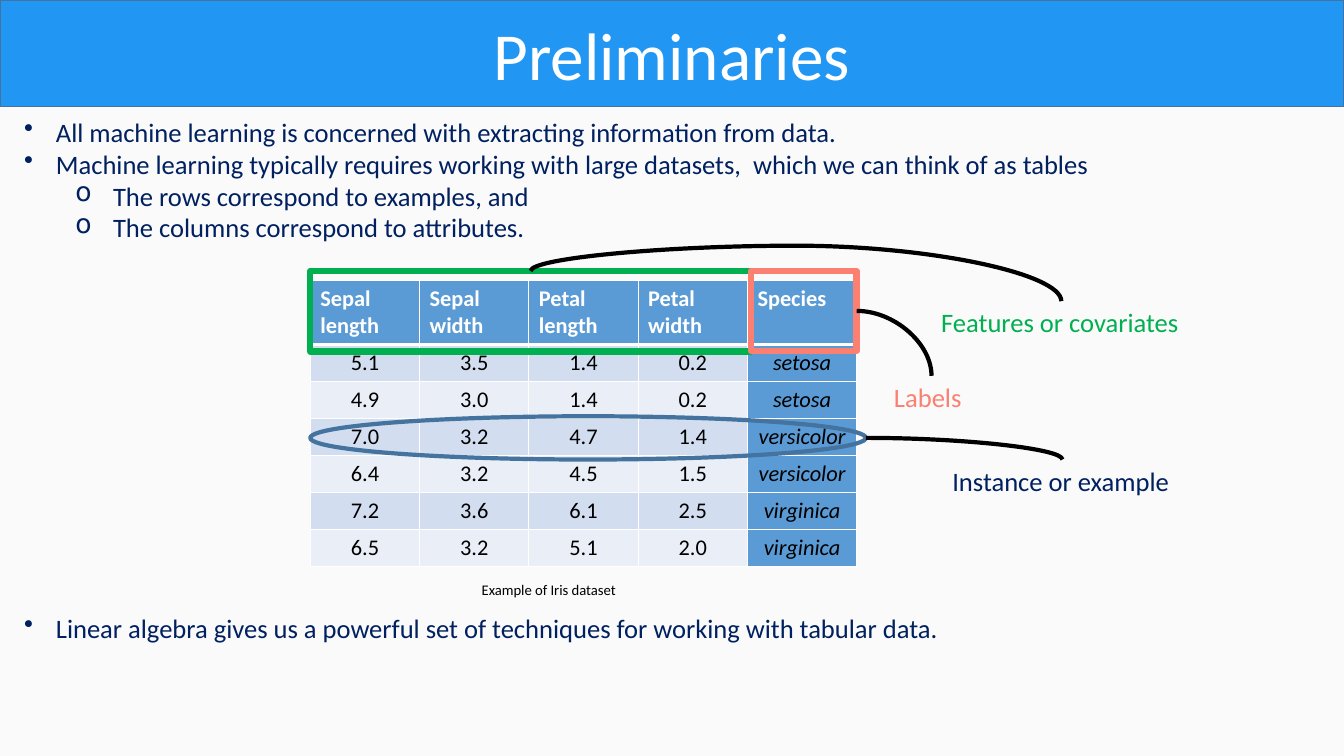
from collections import namedtuple

from lxml.etree import SubElement
from pptx import Presentation
from pptx.dml.color import RGBColor
from pptx.enum.shapes import MSO_CONNECTOR, MSO_SHAPE
from pptx.enum.text import MSO_ANCHOR, PP_ALIGN
from pptx.oxml.ns import qn
from pptx.util import Cm, Pt

Box = namedtuple("Box", "left top width height")

FONT = "Calibri"
NAVY, GREEN, CORAL = "002060", "00B050", "FB8072"
WHITE, BLACK, STEEL, BLUE = "FFFFFF", "000000", "43739E", "5B9BD5"
BANDS = ("D2DEEF", "EAEFF7")
BODY_SIZE = 19
HEADER_HEIGHT = 1.62

POINTS = [
    ("All machine learning is concerned with extracting information from data.", 0),
    ("Machine learning typically requires working with large datasets,  "
     "which we can think of as tables", 0),
    ("The rows correspond to examples, and", 1),
    ("The columns correspond to attributes.", 1),
]
CLOSING_POINT = [("Linear algebra gives us a powerful set of techniques "
                  "for working with tabular data.", 0)]
BULLETS = [("•", 0.8, 0.8), ("o", 2.24, 0.95)]  # character, left margin, hanging

IRIS = [
    ("Sepal length", "Sepal width", "Petal length", "Petal width", "Species"),
    ("5.1", "3.5", "1.4", "0.2", "setosa"),
    ("4.9", "3.0", "1.4", "0.2", "setosa"),
    ("7.0", "3.2", "4.7", "1.4", "versicolor"),
    ("6.4", "3.2", "4.5", "1.5", "versicolor"),
    ("7.2", "3.6", "6.1", "2.5", "virginica"),
    ("6.5", "3.2", "5.1", "2.0", "virginica"),
]


def color(hex_string):
    return RGBColor.from_string(hex_string)


def lengths(box):
    return [Cm(value) for value in box]


def top_middle(box):
    return box.left + box.width / 2, box.top


def right_middle(box):
    return box.left + box.width, box.top + box.height / 2


def write(paragraph, text, size=BODY_SIZE, fill=NAVY, bold=False, italic=False,
          align=PP_ALIGN.LEFT):
    paragraph.alignment = align
    run = paragraph.add_run()
    run.text = text
    font = run.font
    font.name, font.size, font.bold, font.italic = FONT, Pt(size), bold, italic
    font.color.rgb = color(fill)


def add_text_frame(slide, box):
    frame = slide.shapes.add_textbox(*lengths(box)).text_frame
    frame.word_wrap = False
    return frame


def add_label(slide, box, text, **format):
    write(add_text_frame(slide, box).paragraphs[0], text, **format)


def add_outline(slide, box, preset, line, weight, fill=None):
    shape = slide.shapes.add_shape(preset, *lengths(box))
    shape.shadow.inherit = False
    if fill:
        shape.fill.solid()
        shape.fill.fore_color.rgb = color(fill)
    else:
        shape.fill.background()
    shape.line.color.rgb = color(line)
    shape.line.width = Pt(weight)
    return shape


def add_title_band(slide, box):
    band = add_outline(slide, box, MSO_SHAPE.RECTANGLE, STEEL, 1, fill="2196F3")
    band.text_frame.vertical_anchor = MSO_ANCHOR.MIDDLE
    write(band.text_frame.paragraphs[0], "Preliminaries", size=48, fill=WHITE,
          align=PP_ALIGN.CENTER)


def add_points(slide, box, points):
    frame = add_text_frame(slide, box)
    for index, (text, level) in enumerate(points):
        paragraph = frame.add_paragraph() if index else frame.paragraphs[0]
        write(paragraph, text)
        paragraph.level = level
        character, margin, hanging = BULLETS[level]
        properties = paragraph.runs[0].font and paragraph._p.get_or_add_pPr()
        properties.set("marL", str(Cm(margin)))
        properties.set("indent", str(-Cm(hanging)))
        SubElement(properties, qn("a:buChar"), char=character)


def add_cell_borders(cell, bottom):
    properties = cell._tc.get_or_add_tcPr()
    for side, weight in (("L", 1), ("R", 1), ("T", 1), ("B", bottom)):
        border = SubElement(properties, qn("a:ln" + side), w=str(Pt(weight)))
        fill = SubElement(border, qn("a:solidFill"))
        SubElement(fill, qn("a:srgbClr"), val=WHITE)


def add_iris_table(slide, box):
    table = slide.shapes.add_table(len(IRIS), len(IRIS[0]), *lengths(box)).table
    for column in table.columns:
        column.width = Cm(box.width / len(IRIS[0]))
    for index, row in enumerate(table.rows):
        row.height = Cm((box.height - HEADER_HEIGHT) / (len(IRIS) - 1)
                        if index else HEADER_HEIGHT)
    for r, record in enumerate(IRIS):
        header = r == 0
        for c, value in enumerate(record):
            species = c == len(record) - 1
            cell = table.cell(r, c)
            add_cell_borders(cell, bottom=3 if header else 1)
            cell.fill.solid()
            cell.fill.fore_color.rgb = color(
                BLUE if header or species else BANDS[(r - 1) % 2])
            write(cell.text_frame.paragraphs[0], value, size=16, bold=header,
                  fill=WHITE if header else BLACK, italic=species and not header,
                  align=PP_ALIGN.LEFT if header else PP_ALIGN.CENTER)


def add_curve(slide, start, end, arch=None):
    """Curve leaving start upwards; arch is its bulge as a share of the rise."""
    (x1, y1), (x2, y2) = start, end
    # A quarter turn swaps width and height about the centre.
    width, height = abs(y2 - y1), abs(x2 - x1)
    left, top = (x1 + x2 - width) / 2, (y1 + y2 - height) / 2
    right, bottom = left + width, top + height
    if arch is None:
        ends = left, bottom, right, top
    else:
        ends = right, top, left, bottom
    curve = slide.shapes.add_connector(MSO_CONNECTOR.CURVE, *lengths(ends))
    curve.line.color.rgb = color(BLACK)
    curve.line.width = Pt(3)
    properties = curve._element.spPr
    properties.find(qn("a:xfrm")).set("rot", str(270 * 60000))
    geometry = properties.find(qn("a:prstGeom"))
    if arch is None:
        geometry.set("prst", "curvedConnector2")
    else:
        SubElement(geometry.find(qn("a:avLst")), qn("a:gd"), name="adj1",
                   fmla=f"val {round(arch * 100000)}")
    SubElement(properties, qn("a:effectLst"))


def add_iris_figure(slide, box):
    """Table with its caption, marked regions and their labels."""
    def inside(left, top, width, height):
        return Box(box.left + left, box.top + top, width, height)

    features = inside(0, -0.23, 11.1, 2.03)
    species = inside(11.1, -0.23, 2.67, 2.01)
    instance = inside(0, 3.43, 14, 1.09)
    features_label = inside(15.65, 0.53, 6.55, 1.07)
    species_label = inside(14.46, 2.41, 2.39, 1.07)
    instance_label = inside(15.93, 4.52, 6.05, 1.07)

    add_iris_table(slide, box)
    add_label(slide, inside(4.07, 7.44, 3.96, 0.71), "Example of Iris dataset",
              size=10.5, fill=BLACK)
    add_outline(slide, features, MSO_SHAPE.RECTANGLE, GREEN, 4.5)
    add_outline(slide, species, MSO_SHAPE.RECTANGLE, CORAL, 4.5)
    add_outline(slide, instance, MSO_SHAPE.OVAL, STEEL, 3)
    add_label(slide, features_label, "Features or covariates", fill=GREEN)
    add_label(slide, species_label, "Labels", fill=CORAL)
    add_label(slide, instance_label, "Instance or example")
    add_curve(slide, top_middle(features), top_middle(features_label), arch=-0.84)
    add_curve(slide, top_middle(species_label), right_middle(species))
    add_curve(slide, top_middle(instance_label), right_middle(instance))


def main():
    presentation = Presentation()
    presentation.slide_width, presentation.slide_height = Cm(33.87), Cm(19.05)
    slide = presentation.slides.add_slide(presentation.slide_layouts[6])
    slide.background.fill.solid()
    slide.background.fill.fore_color.rgb = color("FAFAFA")
    add_title_band(slide, Box(0, 0, 33.87, 2.69))
    add_points(slide, Box(0.36, 2.79, 27.76, 3.51), POINTS)
    add_iris_figure(slide, Box(7.82, 7.06, 13.77, 7.19))
    add_points(slide, Box(0.36, 15.29, 23.65, 1.07), CLOSING_POINT)
    presentation.save("out.pptx")


if __name__ == "__main__":
    main()
